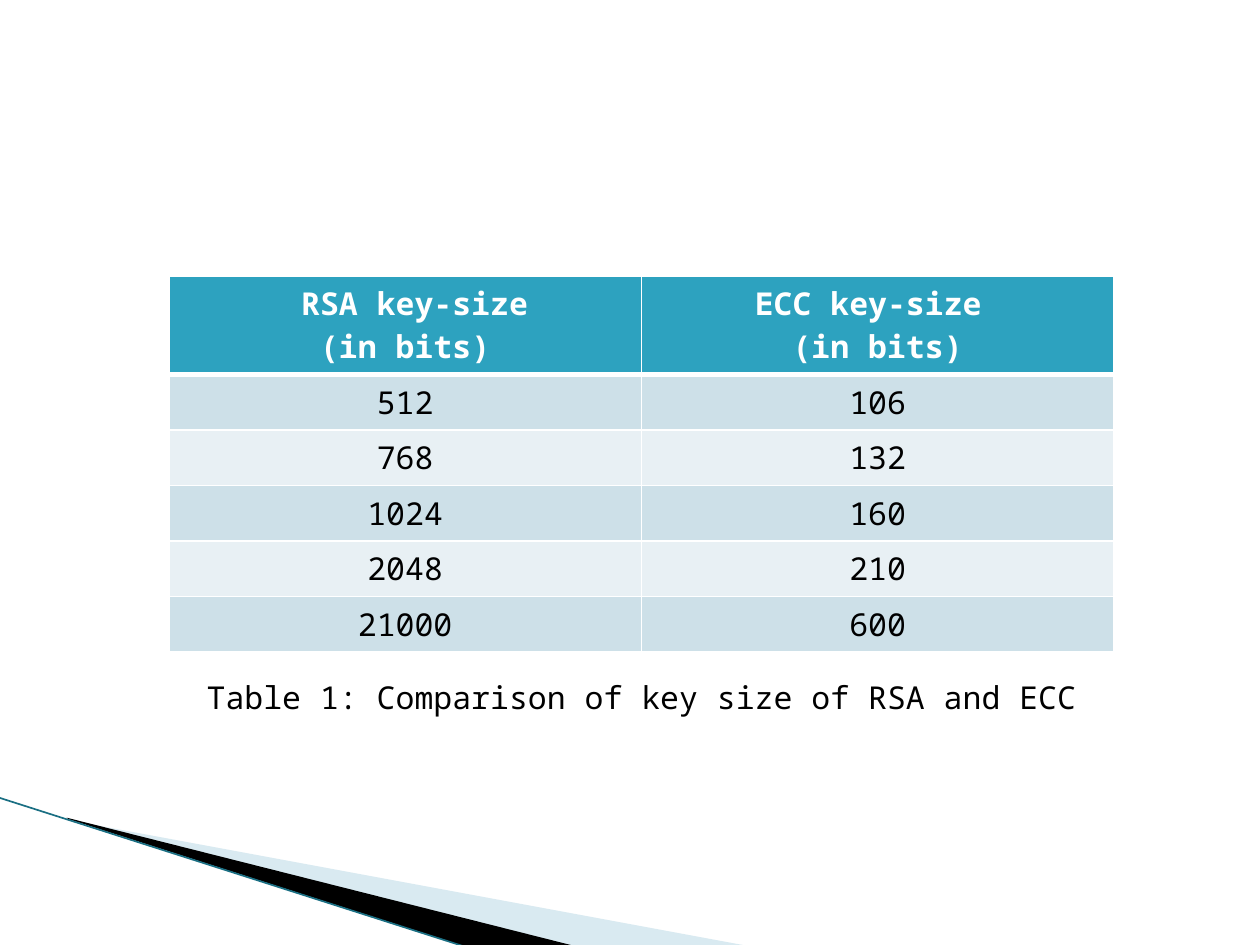
from lxml.etree import SubElement
from pptx import Presentation
from pptx.dml.color import RGBColor
from pptx.enum.shapes import MSO_CONNECTOR as Connector
from pptx.enum.text import MSO_ANCHOR as Anchor, PP_ALIGN as Align
from pptx.oxml.ns import qn
from pptx.util import Inches, Pt

FONT = "Noto Sans Mono"
HEADERS = [[" RSA key-size", "(in bits)"], ["ECC key-size ", "(in bits)"]]
KEY_SIZES = [(512, 106), (768, 132), (1024, 160), (2048, 210), (21000, 600)]
CAPTION = "Table 1: Comparison of key size of RSA and ECC"
HEADER_FILL = "2DA2BF"
BAND_FILLS = ["CDE0E8", "E8F0F4"]
LEFT, TOP, WIDTH = 1.34, 2.19, 7.5
HEADER_HEIGHT, ROW_HEIGHT = 0.77, 0.44
WEDGES = [
    ((0.78, 5.47, 4.16, 1.58),
     [(0.55, 6.51), (5.95, 7.51), (4.56, 7.51), (0.55, 6.5)], "A0CBDC", 40),
    ((-0.06, 6.33, 4.16, 0.92),
     [(0.53, 6.49), (4.57, 7.51), (3.72, 7.52), (0.54, 6.5)], "000000", 100),
]
EDGE = [(-0.01, 6.33), (3.71, 7.52)]


def color(value):
    return RGBColor.from_string(value)


def write(frame, lines, size=18, ink="000000", bold=False, align=Align.CENTER):
    frame.word_wrap = True
    for index, line in enumerate(lines):
        paragraph = frame.add_paragraph() if index else frame.paragraphs[0]
        paragraph.alignment = align
        run = paragraph.add_run()
        run.text = line
        run.font.name = FONT
        run.font.size = Pt(size)
        run.font.bold = bold
        run.font.color.rgb = color(ink)


def set_fill(target, value, opacity=100):
    target.fill.solid()
    target.fill.fore_color.rgb = color(value)
    if opacity < 100:
        tint = target.fill._xPr.find(".//" + qn("a:srgbClr"))
        SubElement(tint, qn("a:alpha"), val=str(opacity * 1000))


def set_borders(cell, bottom):
    properties = cell._tc.get_or_add_tcPr()
    sides = [("a:lnL", 1), ("a:lnR", 1), ("a:lnT", 1), ("a:lnB", bottom)]
    for index, (side, width) in enumerate(sides):
        border = SubElement(properties, qn(side), w=str(Pt(width)))
        solid = SubElement(border, qn("a:solidFill"))
        SubElement(solid, qn("a:srgbClr"), val="FFFFFF")
        properties.insert(index, border)


def set_frame(shape, left, top, width, height):
    shift_x, shift_y = shape.left - left, shape.top - top
    outline = shape._element.find(".//" + qn("a:path"))
    outline.set("w", str(width))
    outline.set("h", str(height))
    for point in outline.iter(qn("a:pt")):
        point.set("x", str(int(point.get("x")) + shift_x))
        point.set("y", str(int(point.get("y")) + shift_y))
    shape.left, shape.top, shape.width, shape.height = left, top, width, height


def add_wedge(slide, frame, points, fill, opacity):
    corners = [(Inches(x), Inches(y)) for x, y in points]
    builder = slide.shapes.build_freeform(*corners[0])
    builder.add_line_segments(corners[1:], close=True)
    shape = builder.convert_to_shape()
    set_frame(shape, *(Inches(value) for value in frame))
    shape.shadow.inherit = False
    set_fill(shape, fill, opacity)
    shape.line.fill.background()


def add_edge(slide, start, end, ink):
    line = slide.shapes.add_connector(
        Connector.STRAIGHT, *(Inches(value) for value in start + end))
    line.line.color.rgb = color(ink)
    line.line.width = Pt(0.95)
    SubElement(line._element.spPr, qn("a:effectLst"))


def add_key_table(slide):
    rows = [HEADERS] + [[[str(size)] for size in pair] for pair in KEY_SIZES]
    height = HEADER_HEIGHT + ROW_HEIGHT * len(KEY_SIZES)
    table = slide.shapes.add_table(
        len(rows), len(HEADERS), Inches(LEFT), Inches(TOP),
        Inches(WIDTH), Inches(height)).table
    for row_index, row in enumerate(rows):
        header = row_index == 0
        table.rows[row_index].height = Inches(HEADER_HEIGHT if header else ROW_HEIGHT)
        for column_index, lines in enumerate(row):
            cell = table.cell(row_index, column_index)
            set_fill(cell, HEADER_FILL if header else BAND_FILLS[(row_index - 1) % 2])
            set_borders(cell, bottom=3 if header else 1)
            write(cell.text_frame, lines, bold=header,
                  ink="FFFFFF" if header else "000000")


presentation = Presentation()
presentation.slide_width, presentation.slide_height = Inches(10), Inches(7.5)
slide = presentation.slides.add_slide(presentation.slide_layouts[6])
for wedge in WEDGES:
    add_wedge(slide, *wedge)
add_edge(slide, *EDGE, ink="1A6F83")
add_key_table(slide)
caption = slide.shapes.add_textbox(
    Inches(LEFT), Inches(5.33), Inches(WIDTH), Inches(0.4))
caption.text_frame.vertical_anchor = Anchor.TOP
write(caption.text_frame, [CAPTION])
presentation.save("out.pptx")
